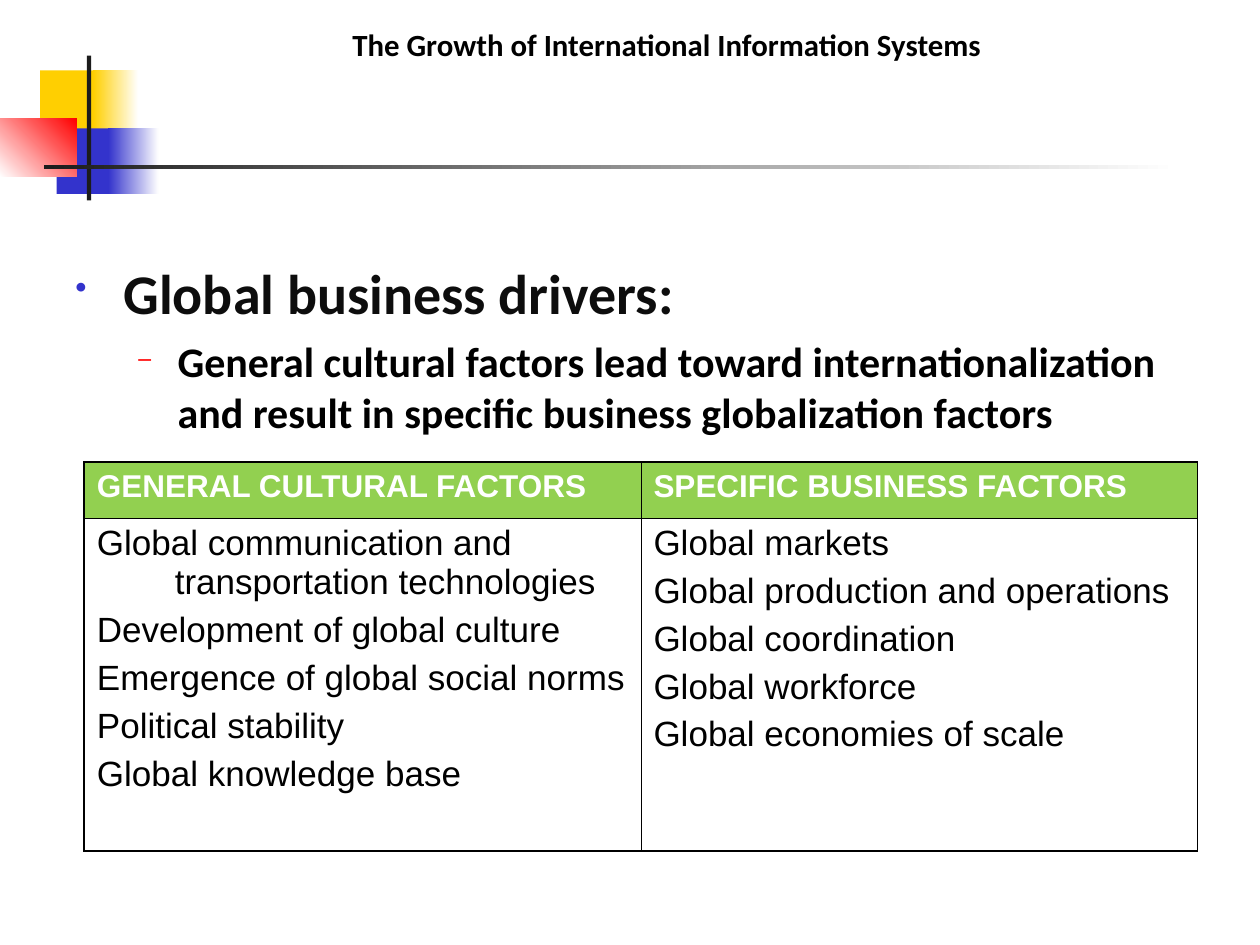
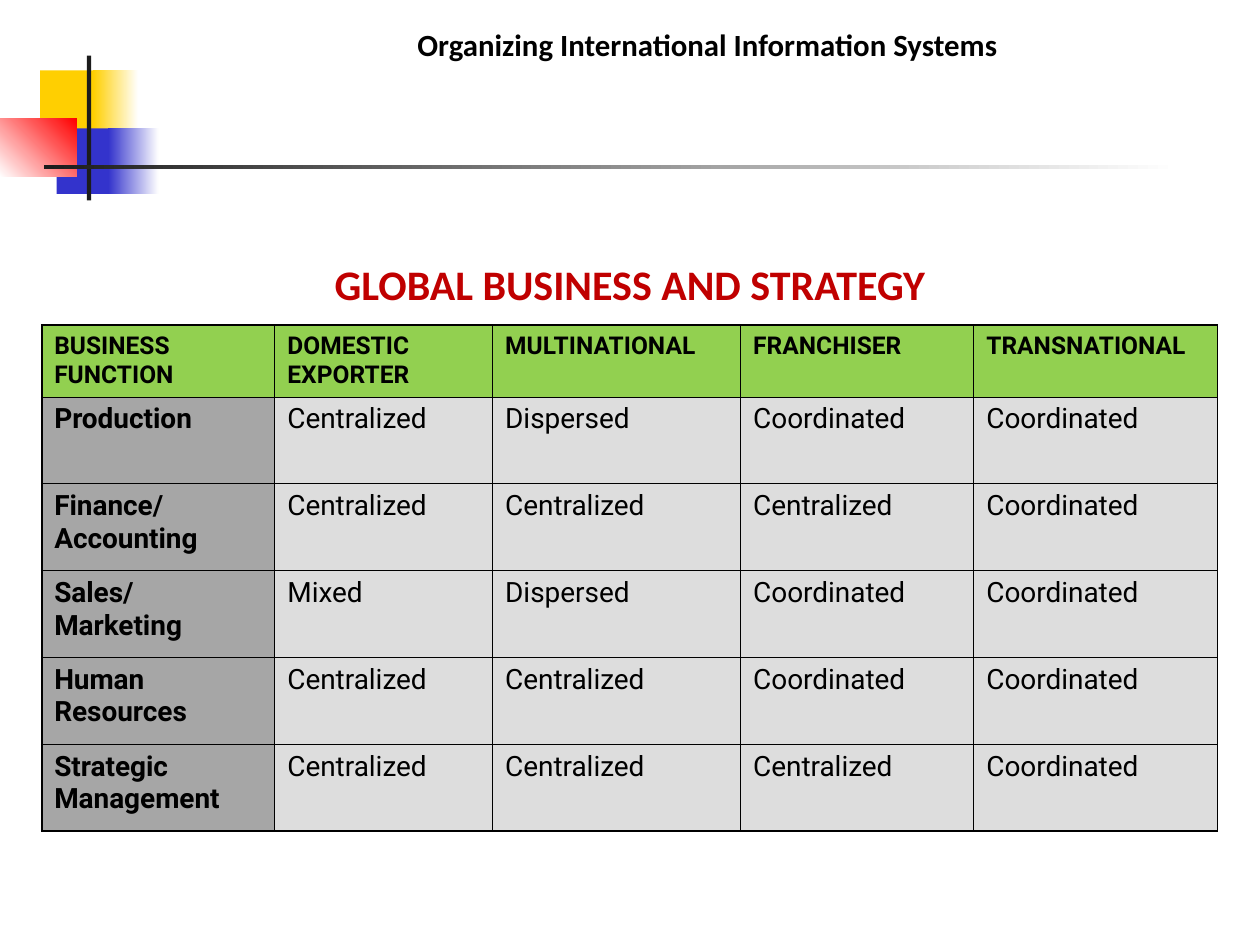
from dataclasses import dataclass
from typing import Optional

from lxml.etree import SubElement
from pptx import Presentation
from pptx.dml.color import RGBColor as Rgb
from pptx.enum.shapes import MSO_SHAPE as Shapes
from pptx.enum.text import PP_ALIGN as Align
from pptx.oxml.ns import qn
from pptx.util import Cm, Pt

COLORS = {
    "black": "000000", "white": "FFFFFF", "ink": "0D0D0D", "charcoal": "1C1C1C",
    "yellow": "FFCF01", "blue": "3333CC", "red": "FF0000", "dark red": "C00000",
    "green": "92D050", "gray": "A6A6A6", "light gray": "DDDDDD",
}
OUTER_LINE, INNER_LINE = Pt(1.08), Pt(0.45)


@dataclass(frozen=True)
class Box:
    left: float
    top: float
    width: float
    height: float

    def lengths(self) -> tuple:
        return tuple(Cm(v) for v in (self.left, self.top, self.width, self.height))


@dataclass(frozen=True)
class Block:
    """A rectangle of the corner motif; it fades when fade_to is given."""
    box: Box
    color: str
    fade_to: Optional[str] = None
    angle: int = 0


@dataclass(frozen=True)
class TextStyle:
    size: float
    font: str = "Calibri"
    color: str = "black"
    bold: bool = True
    space_before: float = 0


@dataclass(frozen=True)
class Bullet:
    char: str
    color: str
    percent: int
    level: int
    margin: float
    hanging: float


@dataclass(frozen=True)
class CellStyle:
    text: TextStyle
    fill: Optional[str] = None


MOTIF = (
    Block(Box(0.81, 1.42, 1.22, 1.32), "yellow"),
    Block(Box(1.88, 1.42, 0.91, 1.32), "yellow", "white"),
    Block(Box(1.14, 2.59, 1.17, 1.32), "blue"),
    Block(Box(2.18, 2.59, 1.02, 1.32), "blue", "white"),
    Block(Box(0, 2.39, 1.55, 1.17), "white", "red", 45),
    Block(Box(1.75, 1.12, 0.09, 2.92), "charcoal"),
    Block(Box(0.89, 3.33, 22.86, 0.08), "charcoal", "white"),
)
TITLE = TextStyle(17.6)
DRIVER = TextStyle(32, color="ink")
STATEMENT = TextStyle(24)
TABLE_HEADING = TextStyle(24, color="dark red")
DOT = Bullet("•", "blue", 60, 0, 0.97, 0.97)
DASH = Bullet("–", "red", 55, 1, 2.06, 0.79)

FACTOR_HEADER = CellStyle(TextStyle(18, "Arial", "white"), "green")
FACTOR_LIST = CellStyle(TextStyle(20, "Arial", bold=False, space_before=5))
FACTORS = (
    ("GENERAL CULTURAL FACTORS", (
        "Global communication and\ntransportation technologies",
        "Development of global culture",
        "Emergence of global social norms",
        "Political stability",
        "Global knowledge base",
    )),
    ("SPECIFIC BUSINESS FACTORS", (
        "Global markets",
        "Global production and operations",
        "Global coordination",
        "Global workforce",
        "Global economies of scale",
    )),
)

STRATEGY_HEADER = CellStyle(TextStyle(14, "Roboto"), "green")
FUNCTION_NAME = CellStyle(TextStyle(16, "Roboto"), "gray")
STRATEGY_VALUE = CellStyle(TextStyle(16, "Roboto", bold=False), "light gray")
STRATEGIES = (
    ("BUSINESS FUNCTION", "DOMESTIC EXPORTER", "MULTINATIONAL", "FRANCHISER", "TRANSNATIONAL"),
    ("Production", "Centralized", "Dispersed", "Coordinated", "Coordinated"),
    ("Finance/\nAccounting", "Centralized", "Centralized", "Centralized", "Coordinated"),
    ("Sales/\nMarketing", "Mixed", "Dispersed", "Coordinated", "Coordinated"),
    ("Human Resources", "Centralized", "Centralized", "Coordinated", "Coordinated"),
    ("Strategic Management", "Centralized", "Centralized", "Centralized", "Coordinated"),
)


def rgb(name: str) -> Rgb:
    return Rgb.from_string(COLORS[name])


def set_indent(paragraph, margin: float, hanging: float) -> None:
    properties = paragraph._p.get_or_add_pPr()
    properties.set("marL", str(Cm(margin)))
    properties.set("indent", str(-Cm(hanging)))


def add_bullet(paragraph, bullet: Bullet) -> None:
    set_indent(paragraph, bullet.margin, bullet.hanging)
    paragraph.level = bullet.level
    properties = paragraph._p.get_or_add_pPr()
    color = SubElement(properties, qn("a:buClr"))
    SubElement(color, qn("a:srgbClr"), val=COLORS[bullet.color])
    SubElement(properties, qn("a:buSzPct"), val=str(bullet.percent * 1000))
    SubElement(properties, qn("a:buChar"), char=bullet.char)


def write(paragraph, text: str, style: TextStyle, **layout) -> None:
    """Fill a paragraph; layout holds paragraph attributes such as alignment."""
    paragraph.text = text
    for name, value in layout.items():
        setattr(paragraph, name, value)
    formats = {"size": Pt(style.size), "name": style.font, "bold": style.bold}
    for run in paragraph.runs:
        for name, value in formats.items():
            setattr(run.font, name, value)
        run.font.color.rgb = rgb(style.color)


def add_text_frame(slide, box: Box):
    frame = slide.shapes.add_textbox(*box.lengths()).text_frame
    frame.word_wrap = True
    return frame


def add_block(slide, block: Block) -> None:
    shape = slide.shapes.add_shape(Shapes.RECTANGLE, *block.box.lengths())
    shape.shadow.inherit = False
    shape.line.fill.background()
    if block.fade_to:
        shape.fill.gradient()
        shape.fill.gradient_angle = block.angle
        for stop, color in zip(shape.fill.gradient_stops, (block.color, block.fade_to)):
            stop.color.rgb = rgb(color)
    else:
        shape.fill.solid()
        shape.fill.fore_color.rgb = rgb(block.color)


def add_titled_slide(presentation, title: str, title_box: Box):
    slide = presentation.slides.add_slide(presentation.slide_layouts[6])
    for block in MOTIF:
        add_block(slide, block)
    paragraph = add_text_frame(slide, title_box).paragraphs[0]
    write(paragraph, title, TITLE, alignment=Align.CENTER, line_spacing=0.8)
    return slide


def add_grid(slide, left: float, top: float, widths: list[float], heights: list[float]):
    """Add a plain table with thick outer and thin inner borders."""
    box = Box(left, top, sum(widths), sum(heights))
    table = slide.shapes.add_table(len(heights), len(widths), *box.lengths()).table
    table.first_row = table.horz_banding = False
    for column, width in zip(table.columns, widths):
        column.width = Cm(width)
    for row, height in zip(table.rows, heights):
        row.height = Cm(height)
    last_row, last_column = len(heights) - 1, len(widths) - 1
    for r, row in enumerate(table.rows):
        for c, cell in enumerate(row.cells):
            is_outer = {"L": c == 0, "R": c == last_column, "T": r == 0, "B": r == last_row}
            properties = cell._tc.get_or_add_tcPr()
            for side, outer in is_outer.items():
                width = OUTER_LINE if outer else INNER_LINE
                line = SubElement(properties, qn(f"a:ln{side}"), w=str(width))
                fill = SubElement(line, qn("a:solidFill"))
                SubElement(fill, qn("a:srgbClr"), val=COLORS["black"])
    return table


def fill_cell(cell, lines: tuple[str, ...], style: CellStyle) -> None:
    if style.fill:
        cell.fill.solid()
        cell.fill.fore_color.rgb = rgb(style.fill)
    else:
        cell.fill.background()
    frame = cell.text_frame
    for index, line in enumerate(lines):
        paragraph = frame.add_paragraph() if index else frame.paragraphs[0]
        space = Pt(style.text.space_before if index else 0)
        write(paragraph, line, style.text, space_before=space)


def build_growth_slide(presentation) -> None:
    slide = add_titled_slide(
        presentation, "The Growth of International Information Systems",
        Box(3.3, 0.53, 20.29, 1.07))
    frame = add_text_frame(slide, Box(1.27, 5.08, 22.86, 12.5))
    drivers = (
        ("Global business drivers:", DRIVER, DOT),
        ("General cultural factors lead toward internationalization "
         "and result in specific business globalization factors", STATEMENT, DASH),
    )
    for index, (text, style, bullet) in enumerate(drivers):
        paragraph = frame.add_paragraph() if index else frame.paragraphs[0]
        add_bullet(paragraph, bullet)
        write(paragraph, text, style, space_after=Pt(6))

    table = add_grid(slide, 1.7, 9.32, [11.22] * 2, [1.12, 6.71])
    for column, (header, factors) in enumerate(FACTORS):
        fill_cell(table.cell(0, column), (header,), FACTOR_HEADER)
        fill_cell(table.cell(1, column), factors, FACTOR_LIST)
    set_indent(table.cell(1, 0).text_frame.paragraphs[0], 1.57, 1.57)


def build_strategy_slide(presentation) -> None:
    slide = add_titled_slide(
        presentation, "Organizing International Information Systems",
        Box(3.71, 0.53, 21.11, 1.07))
    heading = add_text_frame(slide, Box(0, 5.08, 25.4, 12.5)).paragraphs[0]
    write(heading, "GLOBAL BUSINESS AND STRATEGY", TABLE_HEADING,
          alignment=Align.CENTER, space_after=Pt(6))

    table = add_grid(slide, 0.84, 6.55, [4.7, 4.39, 5, 4.7, 4.91], [1.45] + [1.75] * 5)
    for r, row in enumerate(STRATEGIES):
        for c, text in enumerate(row):
            body_style = STRATEGY_VALUE if c else FUNCTION_NAME
            fill_cell(table.cell(r, c), (text,), body_style if r else STRATEGY_HEADER)


def main() -> None:
    presentation = Presentation()
    presentation.slide_width, presentation.slide_height = Cm(25.4), Cm(19.05)
    build_growth_slide(presentation)
    build_strategy_slide(presentation)
    presentation.save("out.pptx")


if __name__ == "__main__":
    main()
